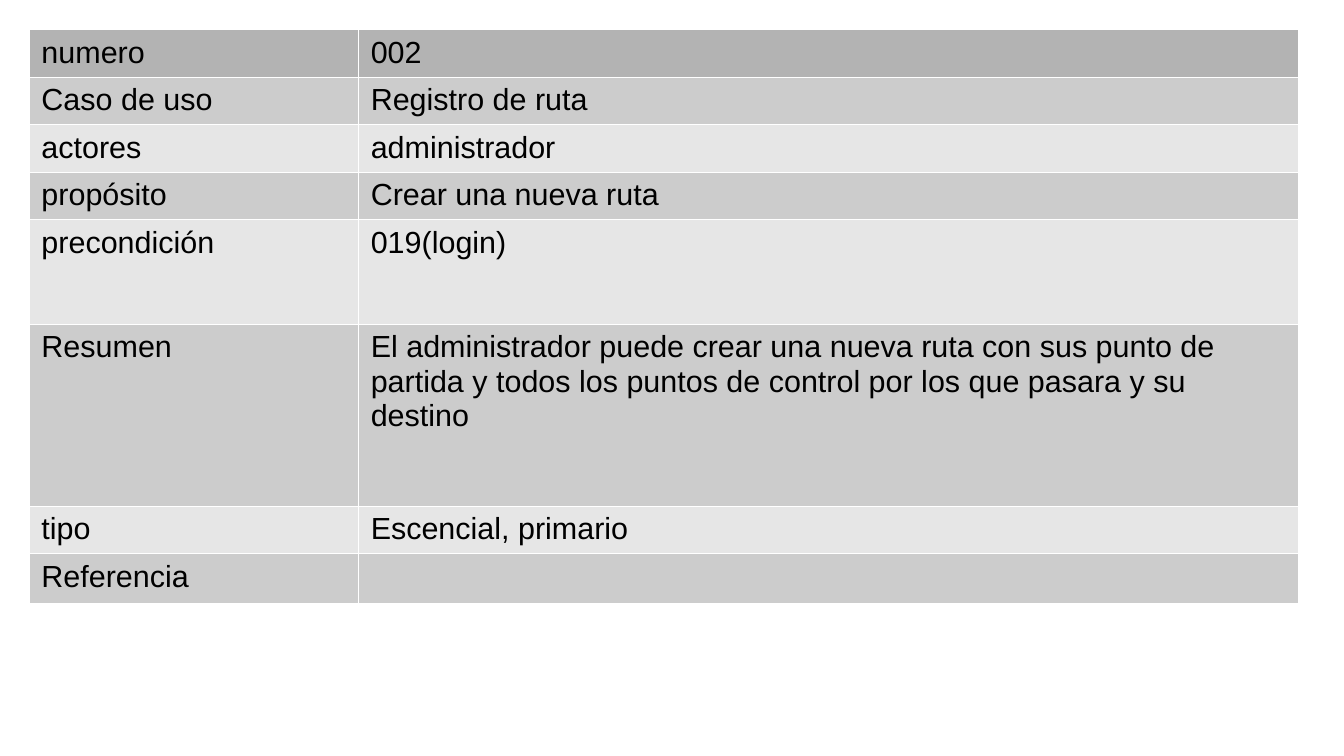
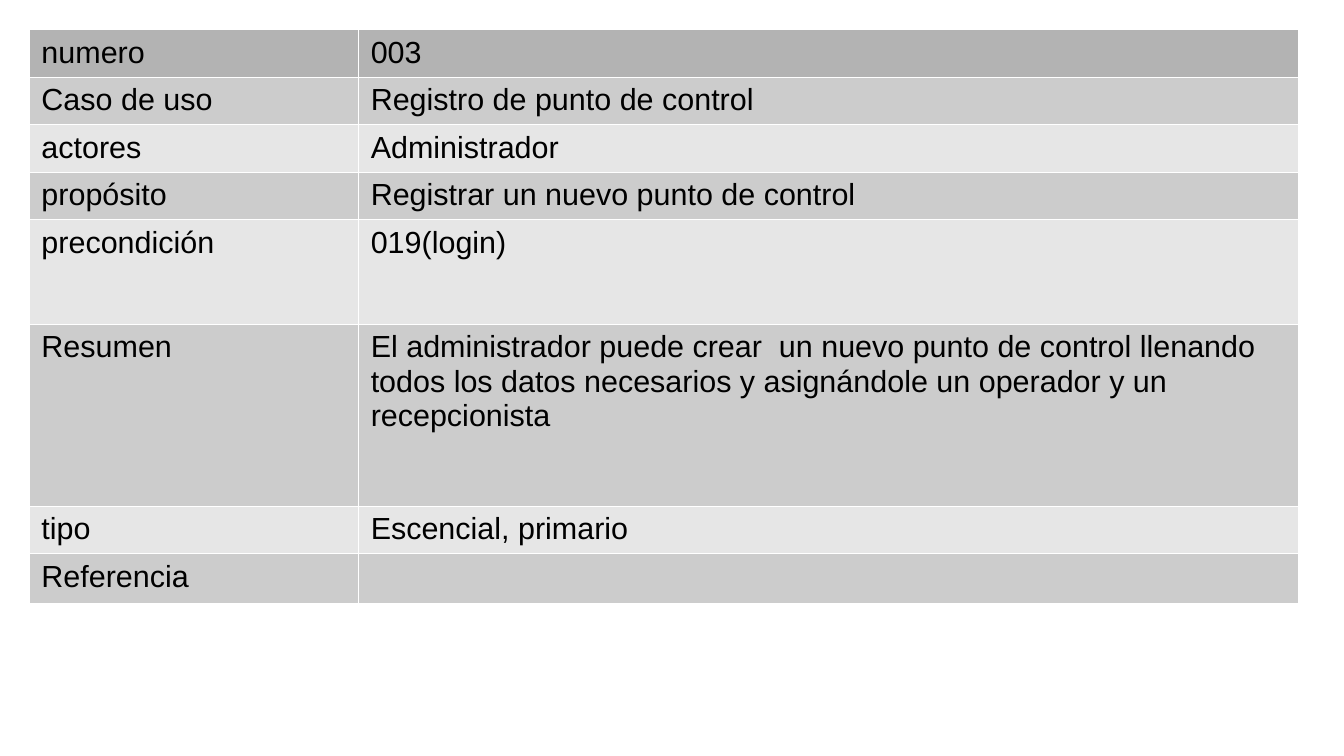
"""Build two use-case slides, each a table of field names and values."""
from lxml.etree import SubElement
from pptx import Presentation
from pptx.dml.color import RGBColor as RGB
from pptx.oxml.ns import qn
from pptx.util import Inches, Pt

COLORS = {"head": "B3B3B3", "odd": "CCCCCC", "even": "E6E6E6",
          "text": "000000", "border": "FFFFFF"}
FONT = {"name": "Arial", "size": Pt(18)}
MARGINS = {"margin_left": Inches(0.1), "margin_right": Inches(0.1),
           "margin_top": Inches(0.05), "margin_bottom": Inches(0.05)}
COL_WIDTHS = [2.7, 7.7]
ROW_HEIGHTS = [0.39, 0.39, 0.39, 0.39, 0.86, 1.49, 0.39, 0.39]
FIELDS = ["numero", "Caso de uso", "actores", "propósito",
          "precondición", "Resumen", "tipo", "Referencia"]
USE_CASES = [
    ["002", "Registro de ruta", "administrador", "Crear una nueva ruta",
     "019(login)",
     "El administrador puede crear una nueva ruta con sus punto de partida "
     "y todos los puntos de control por los que pasara y su destino",
     "Escencial, primario", ""],
    ["003", "Registro de punto de control", "Administrador",
     "Registrar un nuevo punto de control", "019(login)",
     "El administrador puede crear  un nuevo punto de control llenando todos "
     "los datos necesarios y asignándole un operador y un recepcionista",
     "Escencial, primario", ""],
]


def add_borders(cell):
    tc_pr = cell._tc.get_or_add_tcPr()
    for i, side in enumerate(("lnL", "lnR", "lnT", "lnB")):
        ln = SubElement(tc_pr, qn(f"a:{side}"), w=str(Pt(0.06)))
        fill = SubElement(ln, qn("a:solidFill"))
        SubElement(fill, qn("a:srgbClr"), val=COLORS["border"])
        tc_pr.insert(i, ln)


def fill_cell(cell, text, color):
    for key, value in MARGINS.items():
        setattr(cell, key, value)
    cell.fill.solid()
    cell.fill.fore_color.rgb = RGB.from_string(color)
    add_borders(cell)
    if text:
        r = cell.text_frame.paragraphs[0].add_run()
        r.text = text
        for key, value in FONT.items():
            setattr(r.font, key, value)
        r.font.color.rgb = RGB.from_string(COLORS["text"])


prs = Presentation()
prs.slide_width, prs.slide_height = Inches(11.02), Inches(6.2)

for values in USE_CASES:
    s = prs.slides.add_slide(prs.slide_layouts[6])
    table = s.shapes.add_table(
        len(FIELDS), len(COL_WIDTHS), Inches(0.24), Inches(0.24),
        Inches(sum(COL_WIDTHS)), Inches(sum(ROW_HEIGHTS))).table
    for col, width in zip(table.columns, COL_WIDTHS):
        col.width = Inches(width)
    for i, (row, height) in enumerate(zip(table.rows, ROW_HEIGHTS)):
        row.height = Inches(height)
        band = "head" if i == 0 else "odd" if i % 2 else "even"
        for cell, text in zip(row.cells, (FIELDS[i], values[i])):
            fill_cell(cell, text, COLORS[band])

prs.save("out.pptx")
